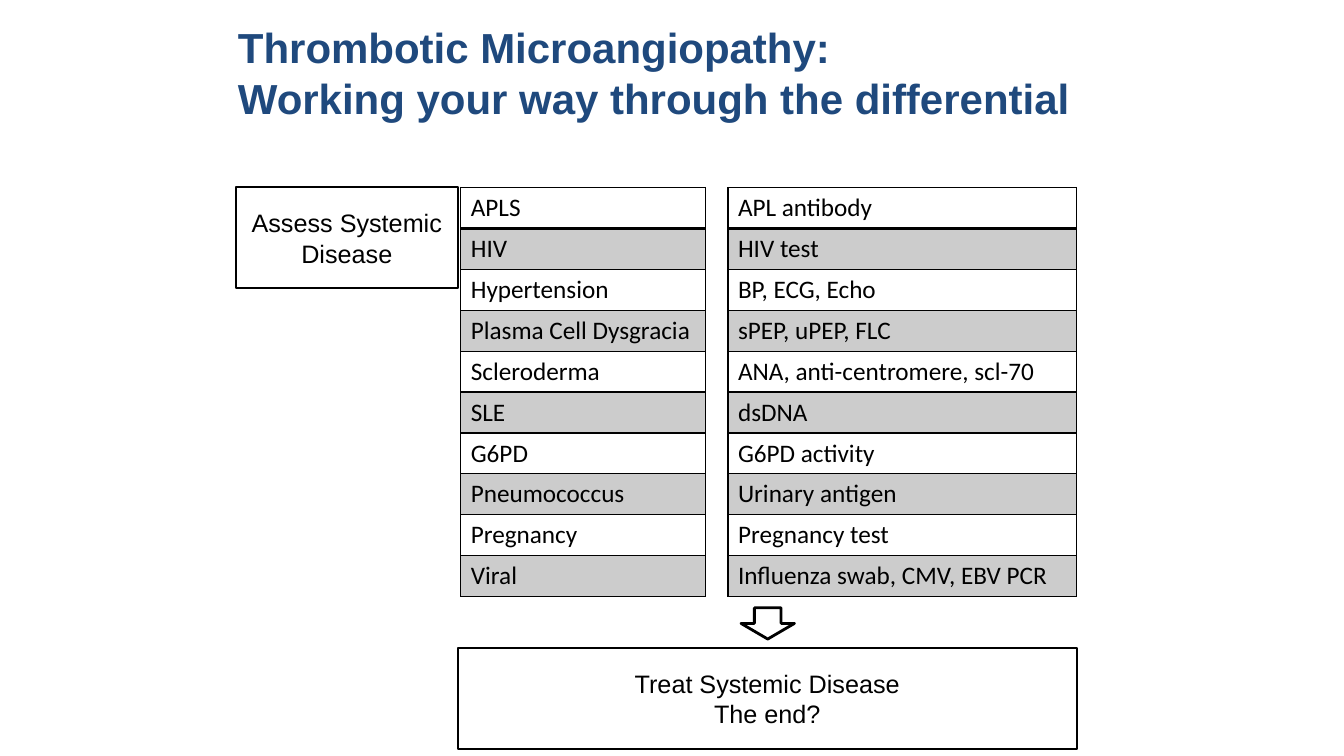
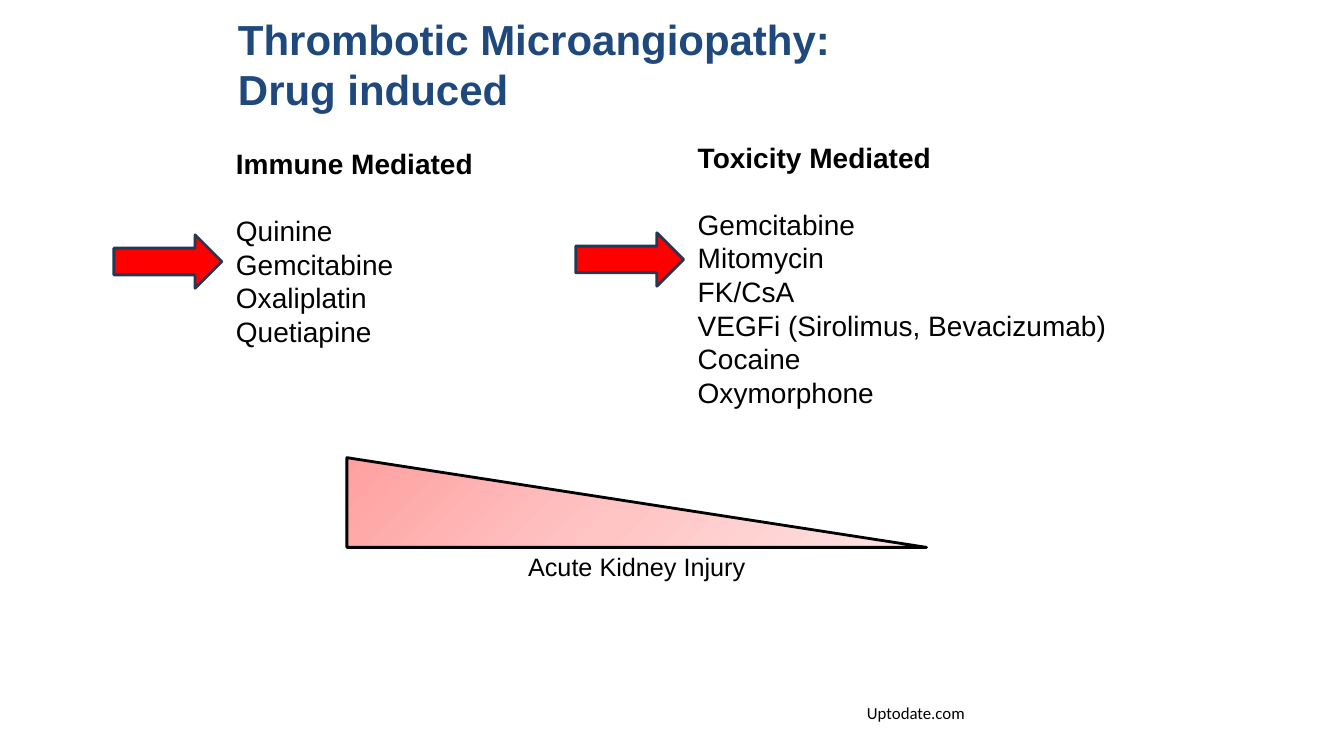
from copy import deepcopy
from dataclasses import dataclass

from lxml.etree import SubElement
from pptx import Presentation
from pptx.dml.color import RGBColor
from pptx.enum.shapes import MSO_SHAPE
from pptx.enum.text import MSO_ANCHOR, PP_ALIGN
from pptx.oxml.ns import qn
from pptx.util import Emu, Pt


@dataclass(frozen=True)
class Theme:
    sans: str = "Arial"
    grid: str = "Calibri"
    ink: str = "000000"
    paper: str = "FFFFFF"
    navy: str = "1F497D"
    band: str = "CCCCCC"
    red: str = "FF0000"
    edge: str = "233953"
    fade: tuple = ((0, "FFA0A0"), (0.5, "FFC5C5"), (1, "FFE3E3"))
    title: int = 30
    list: int = 20
    body: int = 18
    note: int = 12
    lead: float = 1.2


T = Theme()
LEFT, TOP = 234, 186

TESTS = (
    ("APLS", "APL antibody"),
    ("HIV", "HIV test"),
    ("Hypertension", "BP, ECG, Echo"),
    ("Plasma Cell Dysgracia", "sPEP, uPEP, FLC"),
    ("Scleroderma", "ANA, anti-centromere, scl-70"),
    ("SLE", "dsDNA"),
    ("G6PD", "G6PD activity"),
    ("Pneumococcus", "Urinary antigen"),
    ("Pregnancy", "Pregnancy test"),
    ("Viral", "Influenza swab, CMV, EBV PCR"),
)
DRUGS = (
    (LEFT, 145, 202, 233, "Immune Mediated",
     ("Quinine", "Gemcitabine", "Oxaliplatin", "Quetiapine")),
    (692, 139, 269, 231, "Toxicity Mediated",
     ("Gemcitabine", "Mitomycin", "FK/CsA",
      "VEGFi (Sirolimus, Bevacizumab)", "Cocaine", "Oxymorphone")),
)


def px(size):
    return Emu(size * 9144)


def rgb(code):
    return RGBColor.from_string(code)


def style(para, size, face=T.sans, color=T.ink, bold=False):
    font = para.font
    font.name, font.size, font.bold = face, Pt(size), bold
    font.color.rgb = rgb(color)
    if face == T.sans:
        para.line_spacing = Pt(size * T.lead)


def write(frame, lines, size, align=PP_ALIGN.LEFT, **look):
    frame.word_wrap = True
    frame.text = "\n".join(lines)
    for para in frame.paragraphs:
        para.alignment = align
        style(para, size, **look)


def add_text(slide, box, lines, size, inset=True, **look):
    frame = slide.shapes.add_textbox(*map(px, box)).text_frame
    if not inset:
        frame.margin_left = frame.margin_right = 0
        frame.margin_top = frame.margin_bottom = 0
    write(frame, lines, size, **look)
    return frame


def add_title(slide, top, text):
    frame = add_text(slide, (236, top, 861, 101), [text], T.title,
                     inset=False, color=T.navy, bold=True)
    frame.vertical_anchor = MSO_ANCHOR.MIDDLE


def add_form(slide, kind, box, fill=None, line=T.ink, width=2):
    form = slide.shapes.add_shape(kind, *map(px, box))
    form.shadow.inherit = False
    if fill:
        form.fill.solid()
        form.fill.fore_color.rgb = rgb(fill)
    else:
        form.fill.background()
    form.line.color.rgb = rgb(line)
    form.line.width = Pt(width)
    return form


def add_box(slide, box, lines):
    form = add_form(slide, MSO_SHAPE.RECTANGLE, box, width=1.5)
    write(form.text_frame, lines, T.body, align=PP_ALIGN.CENTER)
    form.text_frame.vertical_anchor = MSO_ANCHOR.MIDDLE


def add_fade(form):
    form.fill.gradient()
    form.fill.gradient_angle = 315
    stops = form._element.spPr.find(qn("a:gradFill")).find(qn("a:gsLst"))
    stops.insert(1, deepcopy(stops[0]))
    for stop, (place, color) in zip(form.fill.gradient_stops, T.fade):
        stop.position = place
        stop.color.rgb = rgb(color)


def add_edges(cell, widths):
    props = cell._tc.get_or_add_tcPr()
    for spot, (side, width) in enumerate(widths.items()):
        line = SubElement(props, qn(f"a:ln{side}"), w=str(Pt(width)))
        fill = SubElement(line, qn("a:solidFill"))
        SubElement(fill, qn("a:srgbClr"), val=T.ink)
        props.insert(spot, line)


def add_list(slide, left, width, names):
    height = px(406)
    table = slide.shapes.add_table(
        len(names), 1, px(left), px(TOP), px(width), height).table
    table.first_row = table.horz_banding = False
    for row, name in enumerate(names):
        table.rows[row].height = height // len(names)
        cell = table.cell(row, 0)
        cell.text = name
        style(cell.text_frame.paragraphs[0], T.body, T.grid)
        cell.fill.solid()
        cell.fill.fore_color.rgb = rgb(T.band if row % 2 else T.paper)
        add_edges(cell, {"L": 1, "R": 1, "T": 2 if row == 1 else 1,
                         "B": 2 if row == 0 else 1})


def add_drugs(slide, left, top, height, mark, head, names):
    frame = add_text(slide, (left, top, 431, height), (head, *names),
                     T.list, inset=False)
    first = frame.paragraphs[0]
    first.font.bold = True
    first.space_after = Pt(T.list * T.lead)
    add_form(slide, MSO_SHAPE.RIGHT_ARROW, (left - 121, mark, 107, 53),
             T.red, T.edge)


def build_tests(slide):
    add_title(slide, 21, "Thrombotic Microangiopathy:\v"
                         "Working your way through the differential")
    add_box(slide, (LEFT, TOP, 220, 100), ["Assess Systemic Disease"])
    causes, checks = zip(*TESTS)
    add_list(slide, 457, 243, causes)
    add_list(slide, 722, 346, checks)
    add_box(slide, (454, 643, 614, 100),
            ["Treat Systemic Disease", "The end?"])
    add_form(slide, MSO_SHAPE.DOWN_ARROW, (735, 603, 53, 31))


def build_drugs(slide):
    add_title(slide, 13, "Thrombotic Microangiopathy:\vDrug induced")
    for group in DRUGS:
        add_drugs(slide, *group)
    add_text(slide, (423, 542, 417, 40), ["Acute Kidney Injury"], T.body,
             align=PP_ALIGN.CENTER)
    add_fade(add_form(slide, MSO_SHAPE.RIGHT_TRIANGLE, (344, 454, 575, 89)))
    note = add_text(slide, (850, 692, 118, 30), ["Uptodate.com"], T.note,
                    face=T.grid)
    note.word_wrap = False


def main():
    deck = Presentation()
    deck.slide_width, deck.slide_height = px(1333), px(750)
    for build in (build_tests, build_drugs):
        build(deck.slides.add_slide(deck.slide_layouts[6]))
    deck.save("out.pptx")


if __name__ == "__main__":
    main()
